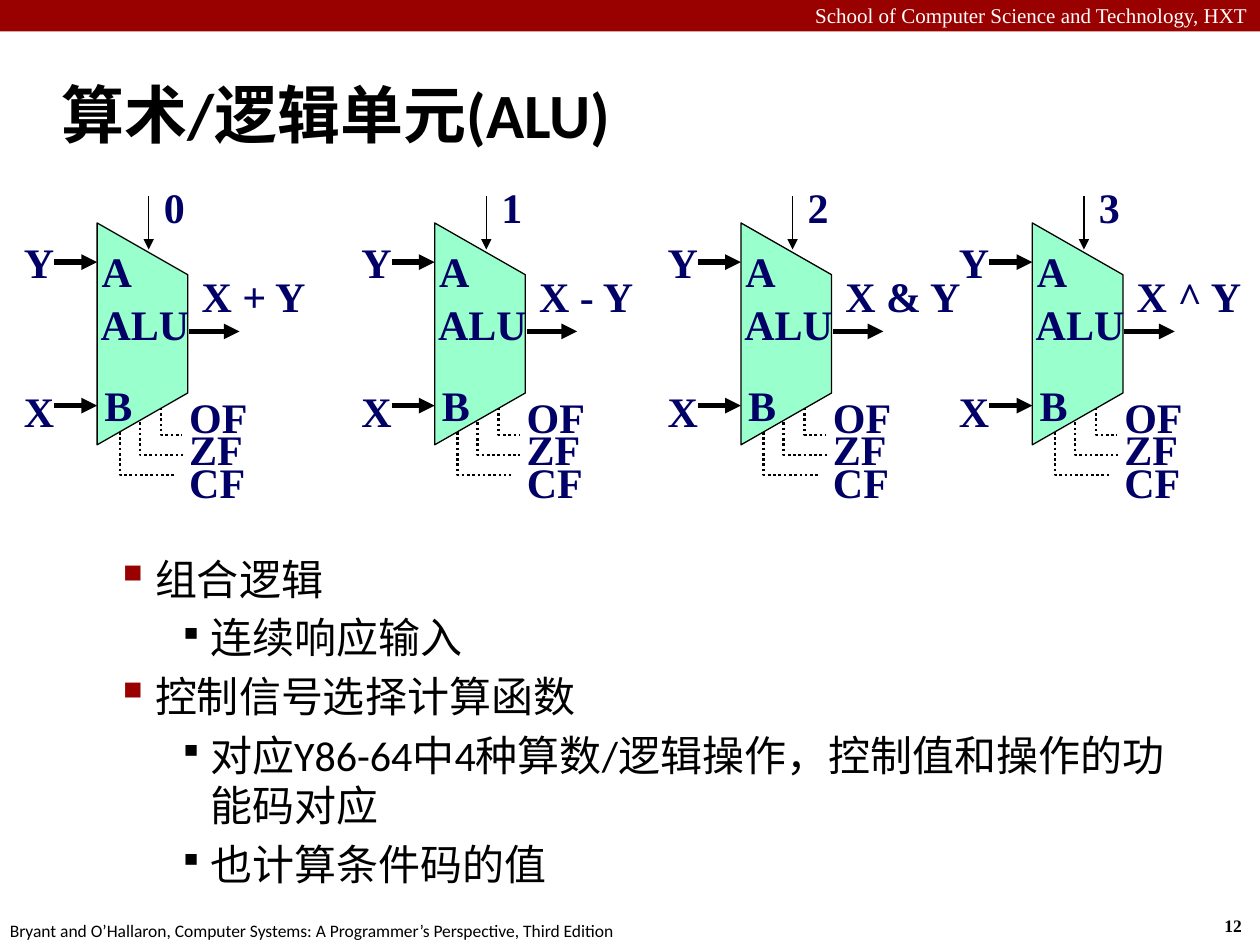
from dataclasses import dataclass

from lxml.etree import SubElement
from pptx import Presentation
from pptx.dml.color import RGBColor as Rgb
from pptx.enum.dml import MSO_LINE_DASH_STYLE as Dash
from pptx.enum.shapes import MSO_CONNECTOR as Link, MSO_SHAPE as Kind
from pptx.enum.text import MSO_ANCHOR as Anchor, PP_ALIGN as Align
from pptx.oxml.ns import qn
from pptx.util import Pt


@dataclass(frozen=True)
class Theme:
    red: Rgb = Rgb(0x99, 0x00, 0x00)
    navy: Rgb = Rgb(0x00, 0x00, 0x66)
    mint: Rgb = Rgb(0x99, 0xFF, 0xCC)
    black: Rgb = Rgb(0x00, 0x00, 0x00)
    white: Rgb = Rgb(0xFF, 0xFF, 0xFF)
    sans: str = "Calibri"
    serif: str = "Times New Roman"
    title: int = 36
    text: int = 24
    head: int = 12
    foot: int = 10


theme = Theme()


def write(shapes, text, box, size, name, color, bold=False, wrap=False,
          align=Align.LEFT, inset=(7.2, 3.6)):
    """Add one line of text and return its shape."""
    shape = shapes.add_textbox(*map(Pt, box))
    frame = shape.text_frame
    frame.word_wrap = wrap
    frame.margin_left = frame.margin_right = Pt(inset[0])
    frame.margin_top = frame.margin_bottom = Pt(inset[1])
    para = frame.paragraphs[0]
    para.text = text
    para.alignment = align
    font = para.font
    font.size, font.name, font.bold = Pt(size), name, bold
    font.color.rgb = color
    return shape


def arrow(shapes, start, end, width):
    """Add a black line with an arrowhead at its end."""
    line = shapes.add_connector(Link.STRAIGHT, *map(Pt, start + end))
    line.line.color.rgb = theme.black
    line.line.width = Pt(width)
    props = line.element.spPr
    SubElement(props.find(qn("a:ln")), qn("a:tailEnd"), type="triangle")
    SubElement(props, qn("a:effectLst"))


prs = Presentation()
prs.slide_width, prs.slide_height = Pt(720), Pt(540)
slide = prs.slides.add_slide(prs.slide_layouts[6])
shapes = slide.shapes

# Header band and footer
band = shapes.add_shape(Kind.RECTANGLE, 0, 0, Pt(720), Pt(18))
band.shadow.inherit = False
band.fill.solid()
band.fill.fore_color.rgb = theme.red
band.line.fill.background()
write(shapes, "School of Computer Science and Technology, HXT",
      (0, -2.16, 720, 21.6), theme.head, theme.serif, theme.white,
      wrap=True, align=Align.RIGHT)
write(shapes, "12", (692.6, 519.1, 26.6, 19.4), theme.foot, theme.serif,
      theme.black, bold=True)
write(shapes, "Bryant and O’Hallaron, Computer Systems: "
      "A Programmer’s Perspective, Third Edition",
      (-1.44, 522, 365.8, 19.4), theme.foot, theme.sans, theme.black)

# Title
title = write(shapes, "算术/逻辑单元(ALU)", (28.1, 34.6, 691.9, 59.8),
              theme.title, theme.sans, theme.black, bold=True, wrap=True)
title.text_frame.vertical_anchor = Anchor.MIDDLE

# Bullet list
items = [
    (1, "组合逻辑"),
    (2, "连续响应输入"),
    (1, "控制信号选择计算函数"),
    (2, "对应Y86-64中4种算数/逻辑操作，控制值和操作的功能码对应"),
    (2, "也计算条件码的值"),
]
looks = {1: (58.5, 22.5, 110, theme.red), 2: (90, 18, 80, theme.black)}
frame = shapes.add_textbox(Pt(23), Pt(312.5), Pt(653.8), Pt(195)).text_frame
frame.word_wrap = True
for i, (level, text) in enumerate(items):
    para = frame.add_paragraph() if i else frame.paragraphs[0]
    para.text = text
    para.level = level
    para.space_before = Pt(4.8)
    left, hang, scale, color = looks[level]
    props = para._p.get_or_add_pPr()
    props.set("marL", str(Pt(left)))
    props.set("indent", str(-Pt(hang)))
    SubElement(SubElement(props, qn("a:buClr")), qn("a:srgbClr"),
               val=str(color))
    SubElement(props, qn("a:buSzPct"), val=str(scale * 1000))
    SubElement(props, qn("a:buChar"), char="▪")
    para.font.size, para.font.name = Pt(theme.text), theme.sans
    para.font.color.rgb = theme.black

# Four ALUs, each measured from the left edge of its body
units = [(55.5, "X + Y", 75), (248.4, "X - Y", 69),
         (423.4, "X & Y", 81.4), (589.9, "X ^ Y", 75)]
body = [(0, 127.4), (51.8, 157), (51.8, 224.6), (0, 254.2)]
wires = [[(x, top), (x, low), (end, low)] for x, top, low, end in
         [(36.5, 215, 248.5, 48.3), (24.5, 226.3, 260, 49),
          (13, 237.8, 271.4, 43.9)]]
arrows = [((52.6, 189.4), (81.4, 189.4), 3), ((-24.5, 149.8), (0, 149.8), 3),
          ((29.5, 112.3), (29.5, 142.6), 0.75), ((-24.5, 231.8), (0, 231.8), 3)]

for code, (x, result, wide) in enumerate(units):
    group = shapes.add_group_shape().shapes

    # Dotted flag wires, then the body over them
    for points in wires + [body]:
        solid = points is body
        spots = [(Pt(x + dx), Pt(y)) for dx, y in points]
        pen = group.build_freeform(*spots[0])
        pen.add_line_segments(spots[1:], close=solid)
        shape = pen.convert_to_shape()
        shape.shadow.inherit = False
        shape.line.color.rgb = theme.black
        if solid:
            shape.fill.solid()
            shape.fill.fore_color.rgb = theme.mint
            shape.line.width = Pt(0.75)
        else:
            shape.fill.background()
            shape.line.width = Pt(1.5)
            shape.line.dash_style = Dash.ROUND_DOT

    # Inputs, output and control
    for (x1, y1), (x2, y2), width in arrows:
        arrow(group, (x + x1, y1), (x + x2, y2), width)

    # Flag names
    for row, (flag, width) in enumerate([("OF", 41), ("ZF", 38.2), ("CF", 39.6)]):
        label = write(group, flag, (x + 49, 223.2 + 18.7 * row, width, 33.1),
                      theme.text, theme.serif, theme.navy, bold=True,
                      inset=(3.6, 3.6))
        label.text_frame.paragraphs[0].line_spacing = 0.9

    # Names of the unit and its signals
    write(group, "ALU", (x - 10.8, 167, 63.4, 36), theme.text, theme.serif,
          theme.navy, bold=True, wrap=True, align=Align.RIGHT, inset=(0, 3.6))
    for text, dx, y, width in [
        ("Y", -49, 131.8, 32.4), ("X", -49, 216.7, 32.4),
        (result, 52.6, 151.2, wide), (str(code), 31, 100.1, 26.6),
        ("A", -4.5, 136.8, 32.4), ("B", -2.9, 213.1, 31),
    ]:
        write(group, text, (x + dx, y, width, 36), theme.text, theme.serif,
              theme.navy, bold=True)

prs.save("out.pptx")
